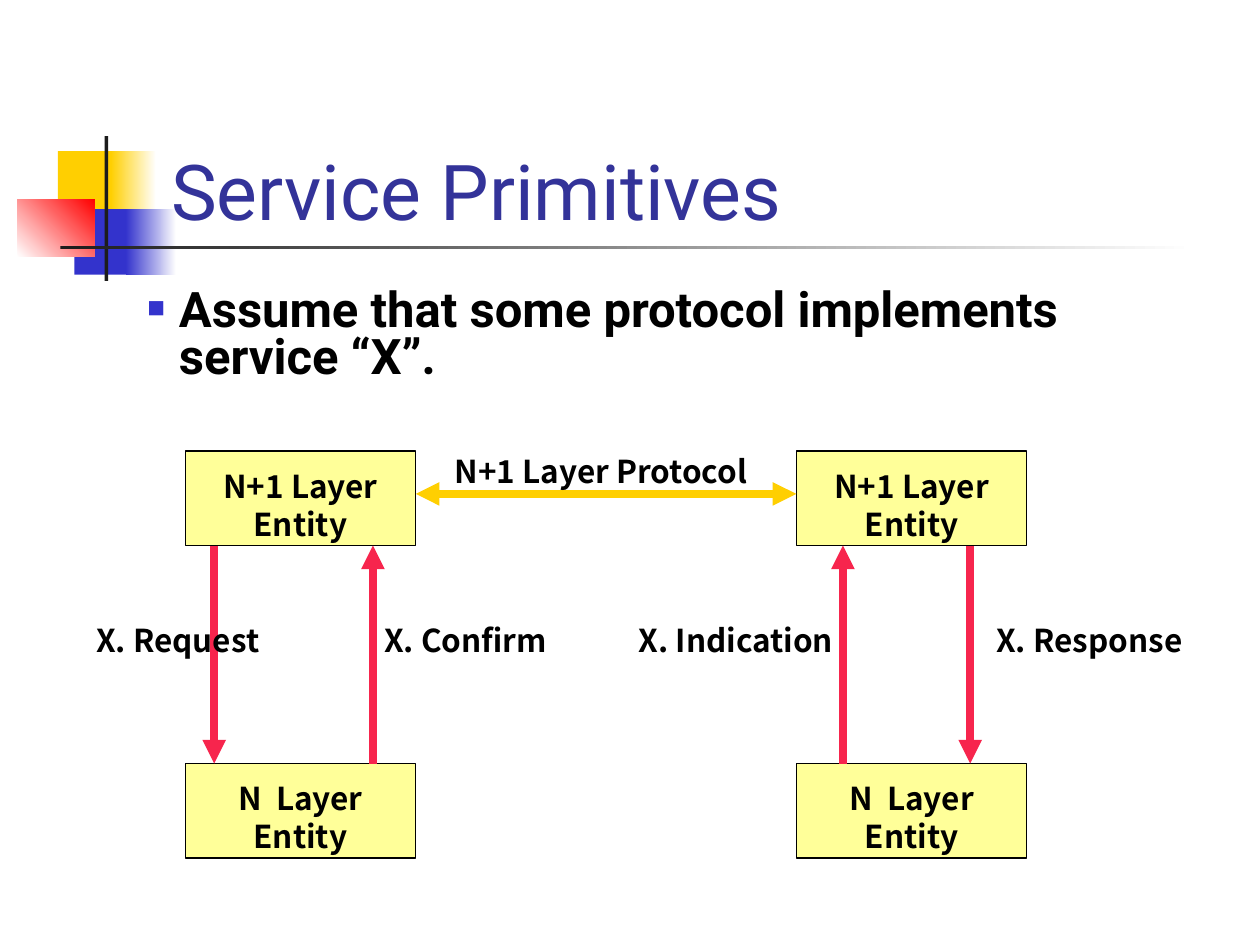
from pptx import Presentation
from pptx.dml.color import RGBColor
from pptx.enum.shapes import MSO_CONNECTOR, MSO_SHAPE
from pptx.enum.text import MSO_ANCHOR, MSO_AUTO_SIZE, PP_ALIGN
from pptx.oxml.ns import qn
from pptx.util import Inches, Pt
from lxml.etree import SubElement

WHITE = RGBColor(0xFF, 0xFF, 0xFF)
BLACK = RGBColor(0x00, 0x00, 0x00)
CHARCOAL = RGBColor(0x1C, 0x1C, 0x1C)
GOLD = RGBColor(0xFF, 0xCF, 0x01)
BLUE = RGBColor(0x33, 0x33, 0xCC)
RED = RGBColor(0xFF, 0x00, 0x00)
INDIGO = RGBColor(0x33, 0x33, 0x99)
PALE_YELLOW = RGBColor(0xFF, 0xFF, 0x99)
CRIMSON = RGBColor(0xF7, 0x25, 0x4D)

deck = Presentation()
deck.slide_width, deck.slide_height = Inches(10), Inches(7.5)
page = deck.slides.add_slide(deck.slide_layouts[1])
title, body = page.shapes.title, page.placeholders[1]


def write_label(box, text, top_inset):
    frame = box.text_frame
    frame.word_wrap = False
    frame.margin_left = frame.margin_right = Inches(0.1)
    frame.margin_top, frame.margin_bottom = Inches(top_inset), Inches(0.25)
    para = frame.paragraphs[0]
    para.text = text
    para.alignment = PP_ALIGN.CENTER
    para.space_before, para.space_after = Pt(11.2), Pt(10)
    para.font.name, para.font.size, para.font.bold = "Noto Sans CJK TC", Pt(18), True
    para.font.color.rgb = BLACK
    for tag in ("a:ea", "a:cs"):
        SubElement(para.font._element, qn(tag), typeface="Noto Sans CJK TC")


def add_arrow(start, finish, color, ends):
    arrow = page.shapes.add_connector(
        MSO_CONNECTOR.STRAIGHT, *(Inches(value) for value in start + finish))
    arrow.line.color.rgb, arrow.line.width = color, Pt(4.5)
    line = arrow.line._get_or_add_ln()
    for end in ends:
        SubElement(line, qn(f"a:{end}"), type="triangle")
    SubElement(arrow.element.spPr, qn("a:effectLst"))


decorations = [
    (0.46, 1.2, 0.48, 0.52, GOLD, GOLD, 0),
    (0.88, 1.2, 0.36, 0.52, GOLD, WHITE, 0),
    (0.59, 1.66, 0.46, 0.52, BLUE, BLUE, 0),
    (1, 1.66, 0.4, 0.52, BLUE, WHITE, 0),
    (0.14, 1.58, 0.61, 0.46, WHITE, RED, 45),
    (0.83, 1.08, 0.03, 1.15, CHARCOAL, CHARCOAL, 0),
    (0.48, 1.95, 9, 0.03, CHARCOAL, WHITE, 0),
]
for *place, first, last, angle in decorations:
    block = page.shapes.add_shape(MSO_SHAPE.RECTANGLE, *(Inches(value) for value in place))
    block.shadow.inherit = False
    block.line.fill.background()
    if first == last:
        block.fill.solid()
        block.fill.fore_color.rgb = first
    else:
        block.fill.gradient()
        block.fill.gradient_angle = angle
        for stop, color, position in zip(block.fill.gradient_stops, (first, last), (0, 1)):
            stop.color.rgb, stop.position = color, position

page.shapes.element.append(title.element)
title.left, title.top, title.width, title.height = (
    Inches(value) for value in (1.26, 0.67, 8.52, 1.25))
title.text_frame.vertical_anchor = MSO_ANCHOR.BOTTOM
title.text_frame.auto_size = MSO_AUTO_SIZE.NONE
heading = title.text_frame.paragraphs[0]
heading.text = "Service Primitives"
heading.alignment = PP_ALIGN.LEFT
heading.font.name, heading.font.size = "Roboto", Pt(44)
heading.font.color.rgb = INDIGO

LEFT_ENTITY, RIGHT_ENTITY = 1.47, 6.32
ENTITY_WIDTH, ENTITY_HEIGHT = 1.83, 0.75
UPPER, LOWER = 3.58, 6.06
for top, text in ((UPPER, "N+1 Layer\nEntity"), (LOWER, "N  Layer\nEntity")):
    for left in (LEFT_ENTITY, RIGHT_ENTITY):
        entity = page.shapes.add_shape(
            MSO_SHAPE.RECTANGLE, Inches(left), Inches(top),
            Inches(ENTITY_WIDTH), Inches(ENTITY_HEIGHT))
        entity.shadow.inherit = False
        entity.fill.solid()
        entity.fill.fore_color.rgb = PALE_YELLOW
        entity.line.color.rgb, entity.line.width = BLACK, Pt(0.75)
        entity.text_frame.vertical_anchor = MSO_ANCHOR.MIDDLE
        write_label(entity, text, 0.35)

add_arrow((LEFT_ENTITY + ENTITY_WIDTH, 3.92), (RIGHT_ENTITY, 3.92), GOLD,
          ("headEnd", "tailEnd"))
primitives = [(1.7, "headEnd"), (2.96, "tailEnd"), (6.69, "tailEnd"), (7.7, "headEnd")]
for x, end in primitives:
    add_arrow((x, LOWER), (x, UPPER + ENTITY_HEIGHT), CRIMSON, (end,))

labels = [
    ("N+1 Layer Protocol", 3.49, 3.54, 2.56),
    ("X. Request", 0.65, 4.88, 1.52),
    ("X. Confirm", 2.94, 4.88, 1.51),
    ("X. Indication", 4.95, 4.88, 1.78),
    ("X. Response", 7.8, 4.88, 1.69),
]
for text, left, top, width in labels:
    label = page.shapes.add_textbox(Inches(left), Inches(top), Inches(width), Inches(0.6))
    write_label(label, text, 0.05)

page.shapes.element.append(body.element)
body.left, body.top, body.width, body.height = (
    Inches(value) for value in (1.08, 2.25, 8.71, 0.92))
frame = body.text_frame
frame.auto_size = MSO_AUTO_SIZE.NONE
frame.margin_left = frame.margin_right = Inches(0.09)
frame.margin_top = frame.margin_bottom = Inches(0.05)
point = frame.paragraphs[0]
point.text = "Assume that some protocol implements service “X”."
point.line_spacing, point.space_before = 0.8, Pt(7)
point.font.name, point.font.size, point.font.bold = "Roboto", Pt(28), True
point.font.color.rgb = BLACK
properties = point._p.get_or_add_pPr()
properties.set("marL", str(Inches(0.25)))
properties.set("indent", str(Inches(-0.25)))
bullet_color = SubElement(properties, qn("a:buClr"))
SubElement(bullet_color, qn("a:srgbClr"), val=str(BLUE))
SubElement(properties, qn("a:buSzPct"), val="60000")
SubElement(properties, qn("a:buChar"), char="■")
properties.append(properties.find(qn("a:defRPr")))

deck.save("out.pptx")
